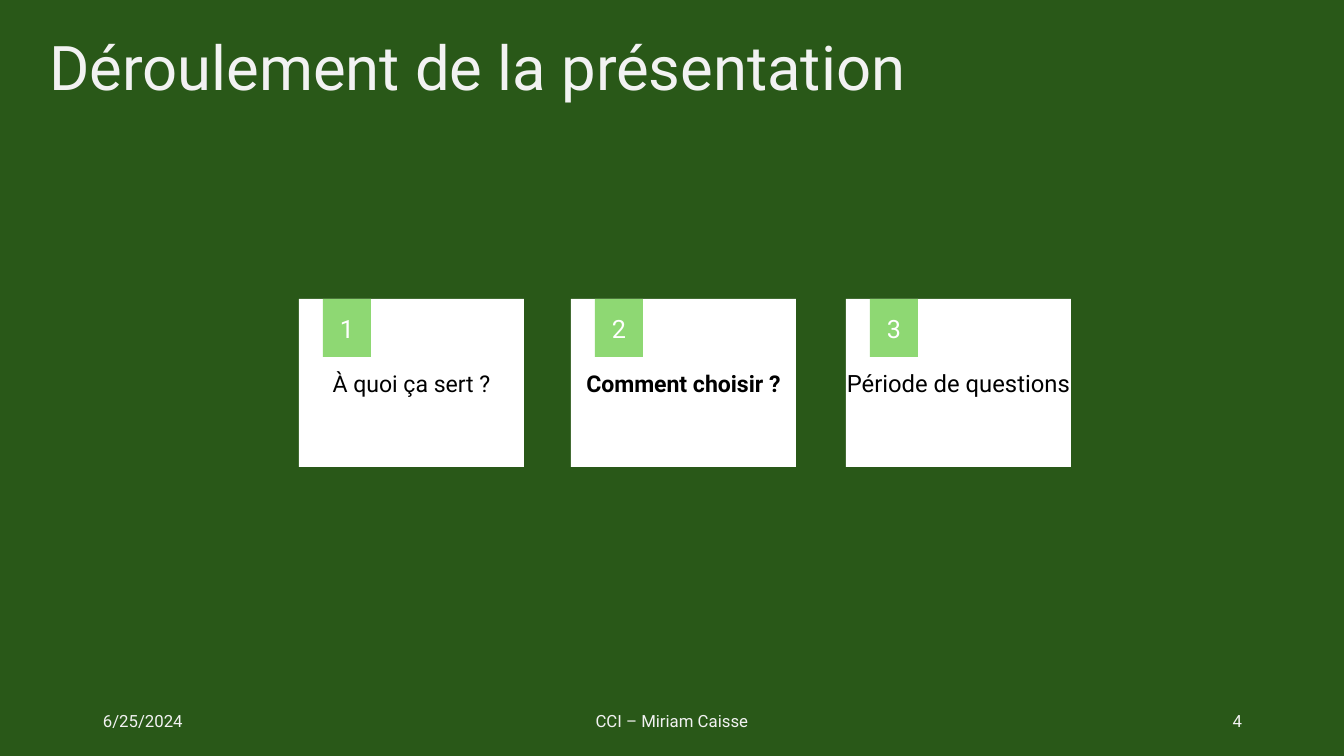
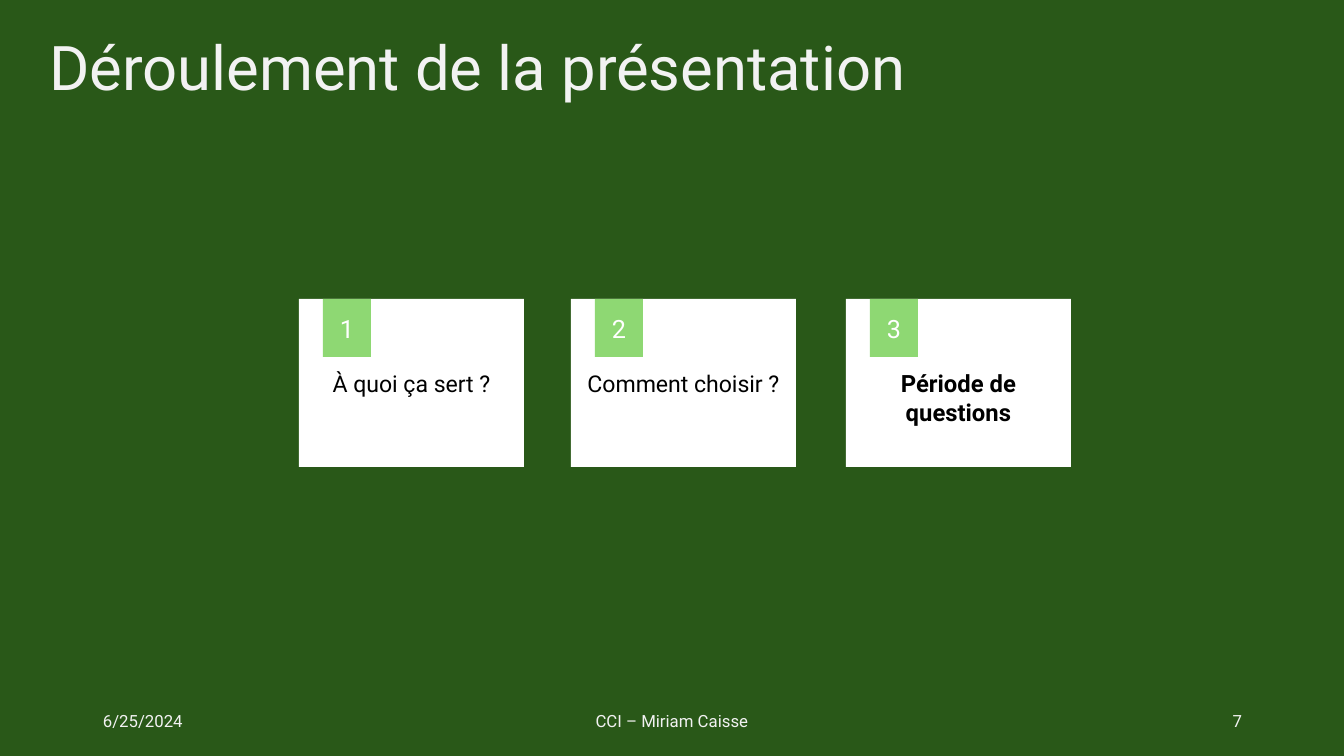
from collections import namedtuple
from dataclasses import dataclass

from pptx import Presentation
from pptx.dml.color import RGBColor
from pptx.enum.shapes import MSO_SHAPE
from pptx.enum.text import MSO_ANCHOR, MSO_AUTO_SIZE, PP_ALIGN
from pptx.util import Emu, Pt

SLIDE_WIDTH, SLIDE_HEIGHT = 1344, 756
EMU_PER_PX = 12192000 / SLIDE_WIDTH
TITLE_ONLY = 5

Box = namedtuple("Box", "left top width height")
Step = namedtuple("Step", "left label size height")


@dataclass(frozen=True)
class Theme:
    """Colours, font and type sizes shared by the slides."""
    background: str = "295818"
    light_text: str = "F2F2F2"
    card: str = "FFFFFF"
    label: str = "000000"
    badge: str = "8ED873"
    number: str = "FFFFFF"
    font: str = "Roboto"
    title_size: float = 44
    number_size: float = 18
    footer_size: float = 12


THEME = Theme()
TITLE = "Déroulement de la présentation"
DATE = "6/25/2024"
AUTHOR = "CCI – Miriam Caisse"
TITLE_BOX = Box(39, 22, 1159, 97)
FOOTER_BOX = Box(93, 701, 1159, 40)
CARD_TOP, CARD_WIDTH, CARD_HEIGHT = 299, 225, 168
STEPS = (
    Step(299, "À quoi ça sert ?", 16.5, 28),
    Step(571, "Comment choisir ?", 16.5, 28),
    Step(846, "Période de questions", 17, 56),
)
AGENDAS = (
    {"current": 2, "page": 4},
    {"current": 3, "page": 7},
)


def emu(box):
    """Turn a box in px into EMU lengths."""
    return [Emu(round(length * EMU_PER_PX)) for length in box]


def write(frame, text, size, color, align, bold=False, anchor=MSO_ANCHOR.MIDDLE):
    """Write one formatted run in a text frame and return its paragraph."""
    frame.word_wrap = True
    frame.vertical_anchor = anchor
    paragraph = frame.paragraphs[0]
    paragraph.alignment = align
    run = paragraph.add_run()
    run.text = text
    run.font.name = THEME.font
    run.font.size = Pt(size)
    run.font.bold = bold
    run.font.color.rgb = RGBColor.from_string(color)
    return paragraph


def add_rectangle(shapes, box, color):
    """Add a plain filled rectangle."""
    rectangle = shapes.add_shape(MSO_SHAPE.RECTANGLE, *emu(box))
    rectangle.shadow.inherit = False
    rectangle.fill.solid()
    rectangle.fill.fore_color.rgb = RGBColor.from_string(color)
    rectangle.line.fill.background()
    return rectangle


def add_title(slide, box):
    """Place and fill the title placeholder."""
    title = slide.shapes.title
    title.left, title.top, title.width, title.height = emu(box)
    title.text_frame.auto_size = MSO_AUTO_SIZE.NONE
    paragraph = write(title.text_frame, TITLE, THEME.title_size,
                      THEME.light_text, PP_ALIGN.LEFT)
    paragraph.line_spacing = 0.9


def add_card(slide, box, number, step, bold):
    """Add a grouped card with its label and number badge."""
    shapes = slide.shapes.add_group_shape().shapes
    add_rectangle(shapes, box, THEME.card)

    label_box = Box(box.left, box.top + 70, box.width, step.height)
    label = shapes.add_textbox(*emu(label_box)).text_frame
    label.margin_left = label.margin_right = 0
    label.margin_top = label.margin_bottom = 0
    label.auto_size = MSO_AUTO_SIZE.SHAPE_TO_FIT_TEXT
    write(label, step.label, step.size, THEME.label, PP_ALIGN.CENTER, bold,
          MSO_ANCHOR.TOP)

    badge = add_rectangle(shapes, Box(box.left + 24, box.top, 48, 58), THEME.badge)
    write(badge.text_frame, str(number), THEME.number_size, THEME.number,
          PP_ALIGN.CENTER)


def add_footer(slide, box, page):
    """Add the date, author and page number along the footer."""
    side, center = 302, 454
    parts = (
        (DATE, box.left, side, PP_ALIGN.LEFT),
        (AUTHOR, box.left + (box.width - center) // 2, center, PP_ALIGN.CENTER),
        (str(page), box.left + box.width - side, side, PP_ALIGN.RIGHT),
    )
    for text, left, width, align in parts:
        part_box = Box(left, box.top, width, box.height)
        part = slide.shapes.add_textbox(*emu(part_box))
        write(part.text_frame, text, THEME.footer_size, THEME.light_text, align)


def add_agenda(presentation, current, page):
    """Add an agenda slide with the current step in bold."""
    slide = presentation.slides.add_slide(presentation.slide_layouts[TITLE_ONLY])
    add_title(slide, TITLE_BOX)
    for number, step in enumerate(STEPS, start=1):
        card_box = Box(step.left, CARD_TOP, CARD_WIDTH, CARD_HEIGHT)
        add_card(slide, card_box, number, step, number == current)
    add_footer(slide, FOOTER_BOX, page)


def main():
    """Build and save the presentation."""
    presentation = Presentation()
    presentation.slide_width, presentation.slide_height = emu((SLIDE_WIDTH, SLIDE_HEIGHT))
    background = presentation.slide_master.background.fill
    background.solid()
    background.fore_color.rgb = RGBColor.from_string(THEME.background)
    for agenda in AGENDAS:
        add_agenda(presentation, **agenda)
    presentation.save("out.pptx")


if __name__ == "__main__":
    main()
